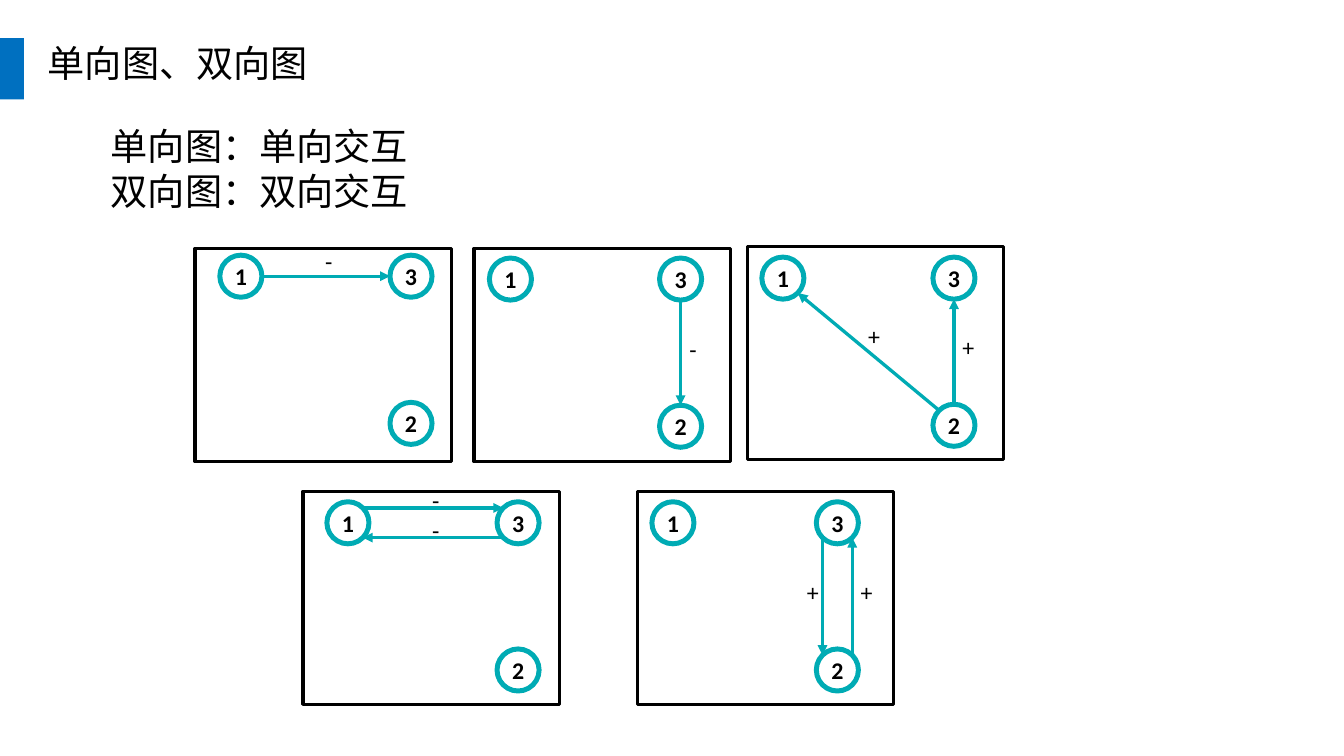
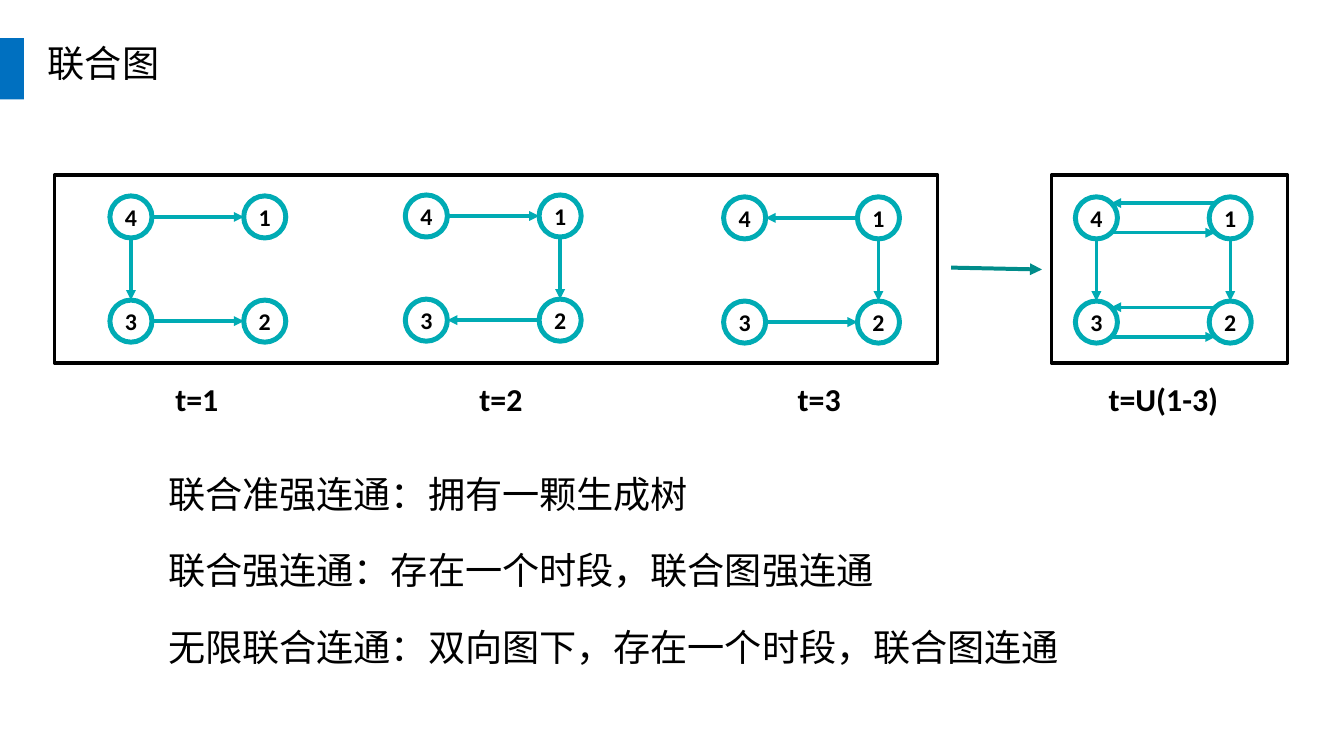
from math import cos, pi, sin

from lxml import etree
from pptx import Presentation
from pptx.dml.color import RGBColor
from pptx.enum.shapes import MSO_CONNECTOR as CONN, MSO_SHAPE as SHAPE
from pptx.enum.text import MSO_ANCHOR as ANCHOR, MSO_AUTO_SIZE as AUTO, PP_ALIGN as ALIGN
from pptx.oxml.ns import qn
from pptx.util import Inches, Pt

COLORS = {"bar": "0070C0", "node": "00ABB4", "step": "008C8A", "ink": "000000"}
HEAD_FONT, NODE_FONT = "Arial", "Calibri"
RADIUS = 0.22
# Connection sites of an ellipse, counterclockwise from the top
SITES = ["top", "top_left", "left", "bottom_left",
         "bottom", "bottom_right", "right", "top_right"]


def rgb(name):
    return RGBColor.from_string(COLORS[name])


# Basic parts
def write(tf, lines, size, font, bold=False, align=ALIGN.LEFT,
          anchor=ANCHOR.TOP, inset=(0.11, 0.05), wrap=True):
    tf.word_wrap = wrap
    tf.auto_size = AUTO.NONE
    tf.vertical_anchor = anchor
    tf.margin_left = tf.margin_right = Inches(inset[0])
    tf.margin_top = tf.margin_bottom = Inches(inset[1])
    for i, line in enumerate(lines):
        p = tf.add_paragraph() if i else tf.paragraphs[0]
        p.alignment = align
        r = p.add_run()
        r.text = line
        r.font.size, r.font.name, r.font.bold = Pt(size), font, bold
        r.font.color.rgb = rgb("ink")


def add_text(s, box, lines, size, font, **style):
    sp = s.shapes.add_textbox(*map(Inches, box))
    write(sp.text_frame, lines, size, font, **style)


def add_outline(s, kind, box, color, width):
    sp = s.shapes.add_shape(kind, *map(Inches, box))
    sp.shadow.inherit = False
    sp.fill.background()
    sp.line.color.rgb = rgb(color)
    sp.line.width = Pt(width)
    return sp


def add_arrow(s, start, end, color="node", width=2.5):
    c = s.shapes.add_connector(CONN.STRAIGHT, *map(Inches, (*start, *end)))
    c.line.color.rgb = rgb(color)
    c.line.width = Pt(width)
    etree.SubElement(c.line._get_or_add_ln(), qn("a:tailEnd"), type="triangle")
    etree.SubElement(c._element.spPr, qn("a:effectLst"))
    return c


# Graph of numbered nodes and glued arrows
def add_node(s, label, x, y):
    box = (x - RADIUS, y - RADIUS, 2 * RADIUS, 2 * RADIUS)
    sp = add_outline(s, SHAPE.OVAL, box, "node", 3.75)
    write(sp.text_frame, [label], 18, NODE_FONT, bold=True, align=ALIGN.CENTER,
          anchor=ANCHOR.MIDDLE, inset=(0, 0), wrap=False)
    return sp


def site_point(center, site):
    angle = SITES.index(site) * pi / 4
    return center[0] - RADIUS * sin(angle), center[1] - RADIUS * cos(angle)


def add_graph(s, centers, edges):
    """Each edge: node, site, node, site and, if signed, sign, dx, dy."""
    nodes = {label: add_node(s, label, *c) for label, c in centers.items()}
    for a, site_a, b, site_b, *sign in edges:
        start, end = site_point(centers[a], site_a), site_point(centers[b], site_b)
        c = add_arrow(s, start, end)
        glue = c._element.nvCxnSpPr.cNvCxnSpPr
        for tag, label, site in (("a:stCxn", a, site_a), ("a:endCxn", b, site_b)):
            etree.SubElement(glue, qn(tag), id=str(nodes[label].shape_id),
                             idx=str(SITES.index(site)))
        if sign:
            mark, dx, dy = sign
            x, y = (start[0] + end[0]) / 2 + dx, (start[1] + end[1]) / 2 + dy
            add_text(s, (x - 0.2, y - 0.2, 0.4, 0.4), [mark], 18, NODE_FONT,
                     align=ALIGN.CENTER, anchor=ANCHOR.MIDDLE, inset=(0, 0))


# Shared slide frame
def titled_slide(prs, title):
    s = prs.slides.add_slide(prs.slide_layouts[5])
    bar = s.shapes.add_shape(SHAPE.RECTANGLE, *map(Inches, (0, 0.4, 0.25, 0.64)))
    bar.shadow.inherit = False
    bar.fill.solid()
    bar.fill.fore_color.rgb = rgb("bar")
    bar.line.fill.background()
    sp = s.shapes.title
    sp.left, sp.top, sp.width, sp.height = map(Inches, (0.39, 0.37, 12, 0.58))
    write(sp.text_frame, [title], 28, HEAD_FONT)
    return s


# Framed triangle: 1 and 3 on top, 2 below 3
def triangle_panel(s, left, top, dx, dy, span, edges):
    add_outline(s, SHAPE.RECTANGLE, (left, top, 2.68, 2.23), "ink", 2.5)
    x, y = left + dx, top + dy
    add_graph(s, {"1": (x, y), "3": (x + span, y), "2": (x + span, y + 1.54)}, edges)


# Square: 4 and 1 on top, 3 and 2 below, with a caption
def square_graph(s, x, y, caption, caption_x, edges):
    span, drop = 1.4, 1.09
    add_graph(s, {"4": (x, y), "1": (x + span, y),
                  "3": (x, y + drop), "2": (x + span, y + drop)}, edges)
    add_text(s, (caption_x - 1, 3.92, 2, 0.5), [caption], 24, NODE_FONT,
             bold=True, align=ALIGN.CENTER)


def direction_slide(prs):
    s = titled_slide(prs, "单向图、双向图")
    add_text(s, (1.05, 1.24, 6, 1.05), ["单向图：单向交互", "双向图：双向交互"],
             28, HEAD_FONT)
    panels = [
        # One-way
        (2.04, 2.6, 0.48, 0.29, 1.78, [("1", "right", "3", "left", "-", 0.03, -0.16)]),
        (4.96, 2.6, 0.38, 0.32, 1.78, [("3", "bottom", "2", "top", "-", 0.13, -0.04)]),
        (7.82, 2.58, 0.37, 0.33, 1.79,
         [("2", "top_left", "1", "bottom_right", "+", 0.06, -0.16),
          ("2", "top", "3", "bottom", "+", 0.15, -0.05)]),
        # Two-way
        (3.17, 5.14, 0.47, 0.33, 1.78,
         [("1", "top_right", "3", "top_left", "-", 0.03, -0.08),
          ("3", "bottom_left", "1", "bottom_right", "-", 0.03, -0.08)]),
        (6.67, 5.14, 0.37, 0.33, 1.72,
         [("3", "bottom_left", "2", "top_left", "+", -0.1, -0.05),
          ("2", "top_right", "3", "bottom_right", "+", 0.15, -0.05)]),
    ]
    for panel in panels:
        triangle_panel(s, *panel)


def union_slide(prs):
    s = titled_slide(prs, "联合图")
    # Frames and the step between them
    for left, width in ((0.57, 9.24), (11, 2.47)):
        add_outline(s, SHAPE.RECTANGLE, (left, 1.83, width, 1.97), "ink", 2.5)
    add_arrow(s, (9.95, 2.8), (10.9, 2.82), "step", 3)

    # Graphs over time and their union
    right, left, down = ("right", "left"), ("left", "right"), ("bottom", "top")

    def edge(a, b, sites):
        return a, sites[0], b, sites[1]

    graphs = [
        (1.37, 2.27, "t=1", 2.06,
         [edge("4", "1", right), edge("4", "3", down), edge("3", "2", right)]),
        (4.46, 2.26, "t=2", 5.24,
         [edge("4", "1", right), edge("1", "2", down), edge("2", "3", left)]),
        (7.79, 2.28, "t=3", 8.57,
         [edge("1", "4", left), edge("1", "2", down), edge("3", "2", right)]),
        (11.47, 2.28, "t=U(1-3)", 12.17,
         [edge("4", "3", down), edge("1", "2", down)]
         + [e for a, b in (("4", "1"), ("3", "2"))
            for e in (edge(a, b, ("bottom_right", "bottom_left")),
                      edge(b, a, ("top_left", "top_right")))]),
    ]
    for graph in graphs:
        square_graph(s, *graph)

    # Definitions
    for i, line in enumerate(["联合准强连通：拥有一颗生成树",
                              "联合强连通：存在一个时段，联合图强连通",
                              "无限联合连通：双向图下，存在一个时段，联合图连通"]):
        add_text(s, (1.65, 4.88 + 0.8 * i, 11, 0.58), [line], 28, HEAD_FONT)


def main():
    prs = Presentation()
    prs.slide_width, prs.slide_height = Inches(14.06), Inches(7.91)
    direction_slide(prs)
    union_slide(prs)
    prs.save("out.pptx")


if __name__ == "__main__":
    main()
